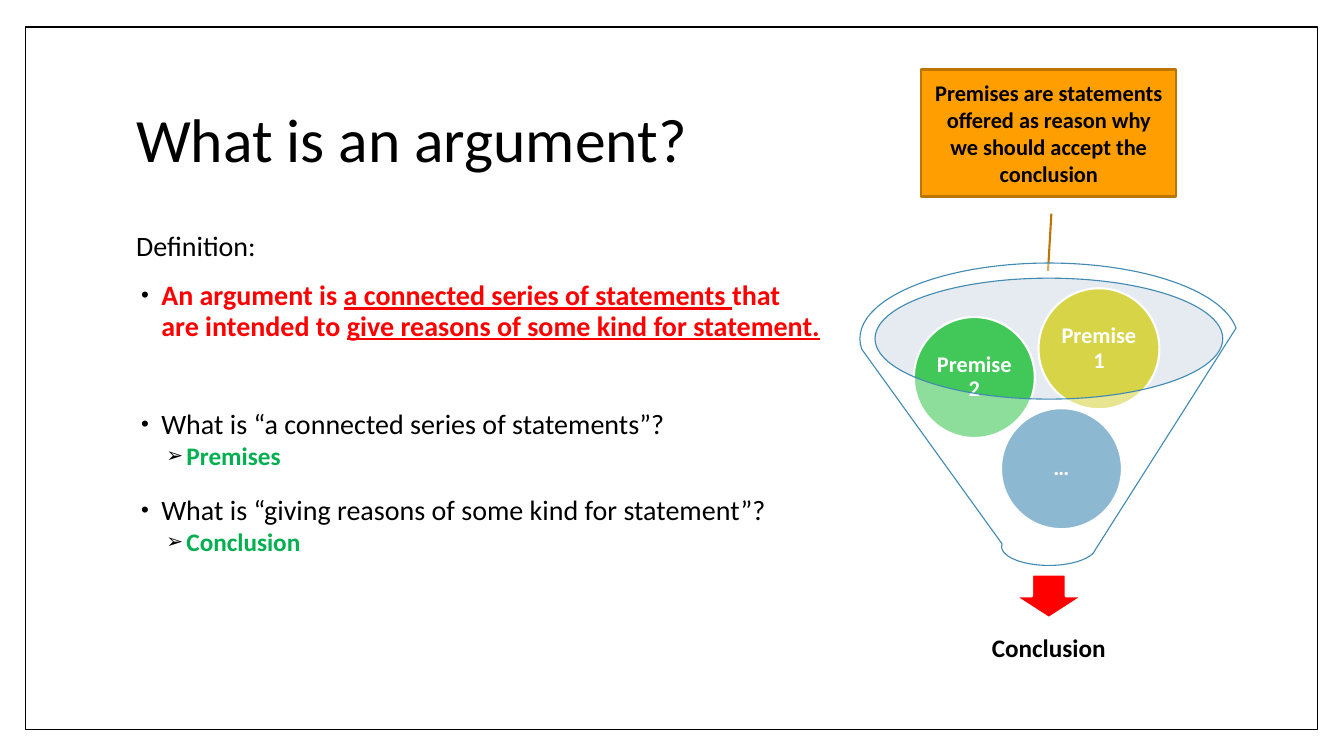
from dataclasses import dataclass

from lxml import etree
from pptx import Presentation
from pptx.dml.color import RGBColor
from pptx.enum import shapes, text
from pptx.oxml import ns
from pptx.util import Pt


@dataclass(frozen=True)
class Theme:
    font: str = "Calibri"
    black: str = "000000"
    white: str = "FFFFFF"
    red: str = "FF0000"
    answer: str = "00B050"
    orange: str = "FE9E00"
    brown: str = "BC7500"
    mist: str = "C0CFDD"
    blue: str = "418AB3"
    green: str = "41C858"
    yellow: str = "D7D447"
    title: int = 44
    body: int = 20
    detail: int = 18
    label: int = 16


@dataclass(frozen=True)
class Box:
    left: float
    top: float
    width: float
    height: float

    def inside(self, left, top, width, height):
        return Box(self.left + left, self.top + top, width, height)

    def place(self):
        return Pt(self.left), Pt(self.top), Pt(self.width), Pt(self.height)


THEME = Theme()
KINDS = shapes.MSO_SHAPE
CENTER = text.PP_ALIGN.CENTER


def add_span(para, words, size, color, bold=False, underline=False):
    span = para.add_run()
    span.text = words
    font = span.font
    font.name, font.size = THEME.font, Pt(size)
    font.bold, font.underline = bold, underline
    font.color.rgb = RGBColor.from_string(color)


def add_label(frame, words, size, color, margin=None, spacing=0.9):
    frame.word_wrap = True
    frame.vertical_anchor = text.MSO_ANCHOR.MIDDLE
    if margin is not None:
        frame.margin_left = frame.margin_right = Pt(margin)
        frame.margin_top = frame.margin_bottom = Pt(margin)
    para = frame.paragraphs[0]
    para.alignment, para.line_spacing = CENTER, spacing
    add_span(para, words, size, color, bold=True)


def add_figure(page, kind, box, fill=None, line=None, weight=1.5, alpha=None):
    figure = page.shapes.add_shape(kind, *box.place())
    figure.shadow.inherit = False
    if fill:
        figure.fill.solid()
        figure.fill.fore_color.rgb = RGBColor.from_string(fill)
    else:
        figure.fill.background()
    if alpha:
        color = figure.fill._xPr.find(".//" + ns.qn("a:srgbClr"))
        etree.SubElement(color, ns.qn("a:alpha"), val=str(alpha * 1000))
    if line:
        figure.line.color.rgb = RGBColor.from_string(line)
        figure.line.width = Pt(weight)
    else:
        figure.line.fill.background()
    return figure


def set_bullet(para, mark, indent):
    props = para._p.get_or_add_pPr()
    hanging = Pt(14.4) if mark else 0
    props.set("marL", str(Pt(indent)))
    props.set("indent", str(-hanging))
    if not mark:
        etree.SubElement(props, ns.qn("a:buNone"))
        return
    color = etree.SubElement(props, ns.qn("a:buClr"))
    etree.SubElement(color, ns.qn("a:srgbClr"), val=THEME.black)
    etree.SubElement(props, ns.qn("a:buSzPct"), val="80000")
    etree.SubElement(props, ns.qn("a:buChar"), char=mark)


def fill_title(page, box):
    title = page.shapes.title
    title.left, title.top, title.width, title.height = box.place()
    frame = title.text_frame
    frame.auto_size = text.MSO_AUTO_SIZE.NONE
    frame.vertical_anchor = text.MSO_ANCHOR.MIDDLE
    para = frame.paragraphs[0]
    para.alignment, para.line_spacing = text.PP_ALIGN.LEFT, 0.9
    add_span(para, "What is an argument?", THEME.title, THEME.black)


def fill_body(page, box):
    body = page.placeholders[1]
    body.left, body.top, body.width, body.height = box.place()
    frame = body.text_frame
    frame.auto_size = text.MSO_AUTO_SIZE.NONE
    frame.vertical_anchor = text.MSO_ANCHOR.TOP

    def add_para(mark, indent, before, after=0, level=0):
        para = frame.add_paragraph() if frame.paragraphs[0].runs else frame.paragraphs[0]
        para.level, para.line_spacing = level, 0.9
        para.space_before, para.space_after = Pt(before), Pt(after)
        set_bullet(para, mark, indent)
        return para

    # Definition, with its key phrases underlined
    add_span(add_para(None, 0, 14), "Definition:", THEME.body, THEME.black)
    definition = add_para("•", 18, 14)
    for words, underline in (
        ("An argument is ", False),
        ("a connected series of statements ", True),
        ("that are intended to ", False),
        ("give reasons of some kind for statement.", True),
    ):
        add_span(definition, words, THEME.body, THEME.red, True, underline)

    # Questions and answers
    for question, answer, before in (
        ("What is “a connected series of statements”?", "Premises", 49),
        ("What is “giving reasons of some kind for statement”?", "Conclusion", 14),
    ):
        add_span(add_para("•", 18, before), question, THEME.body, THEME.black)
        add_span(add_para("➢", 36, 2, 4, 1), answer, THEME.detail, THEME.answer, True)


def draw_callout(page, box):
    callout = add_figure(page, KINDS.LINE_CALLOUT_1, box, THEME.orange, THEME.brown)
    for index, value in enumerate((1.135, 0.51, 1.586, 0.497)):
        callout.adjustments[index] = value
    words = "Premises are statements offered as reason why we should accept the conclusion"
    add_label(callout.text_frame, words, THEME.label, THEME.black, spacing=1.0)


def draw_funnel(page, box):
    # Mouth and outlet
    add_figure(page, KINDS.OVAL, box.inside(10.4, 10.8, 248.4, 86.4), THEME.mist, alpha=40)
    add_figure(page, KINDS.DOWN_ARROW, box.inside(110.9, 222.5, 48.2, 31), THEME.red, THEME.white)
    outcome = page.shapes.add_textbox(*box.inside(19.4, 247, 231.2, 57.6).place())
    add_label(outcome.text_frame, "Conclusion", THEME.detail, THEME.black, margin=10)

    # Premises falling in
    for words, left, top, color in (
        ("…", 100.8, 103.7, THEME.blue),
        ("Premise 2", 38.6, 38.6, THEME.green),
        ("Premise 1", 127.6, 18, THEME.yellow),
    ):
        ball = add_figure(page, KINDS.OVAL, box.inside(left, top, 86.4, 86.4), color, THEME.white)
        add_label(ball.text_frame, words, THEME.label, THEME.white, margin=1.4)

    # Translucent wall in front
    add_figure(page, KINDS.FUNNEL, box, THEME.white, THEME.blue, 0.79, alpha=40)


def build_argument_slide(deck):
    page = deck.slides.add_slide(deck.slide_layouts[1])
    add_figure(page, KINDS.RECTANGLE, Box(18, 19.4, 923, 501.8), line=THEME.black, weight=1)
    fill_title(page, Box(90, 48.2, 777.6, 106.6))
    fill_body(page, Box(90, 162, 503.3, 318.2))
    draw_callout(page, Box(658.1, 49.7, 182.2, 90.7))
    draw_funnel(page, Box(614.2, 187.9, 270, 216))


def main():
    deck = Presentation()
    deck.slide_width, deck.slide_height = Pt(960), Pt(540)
    build_argument_slide(deck)
    deck.save("out.pptx")


if __name__ == "__main__":
    main()
